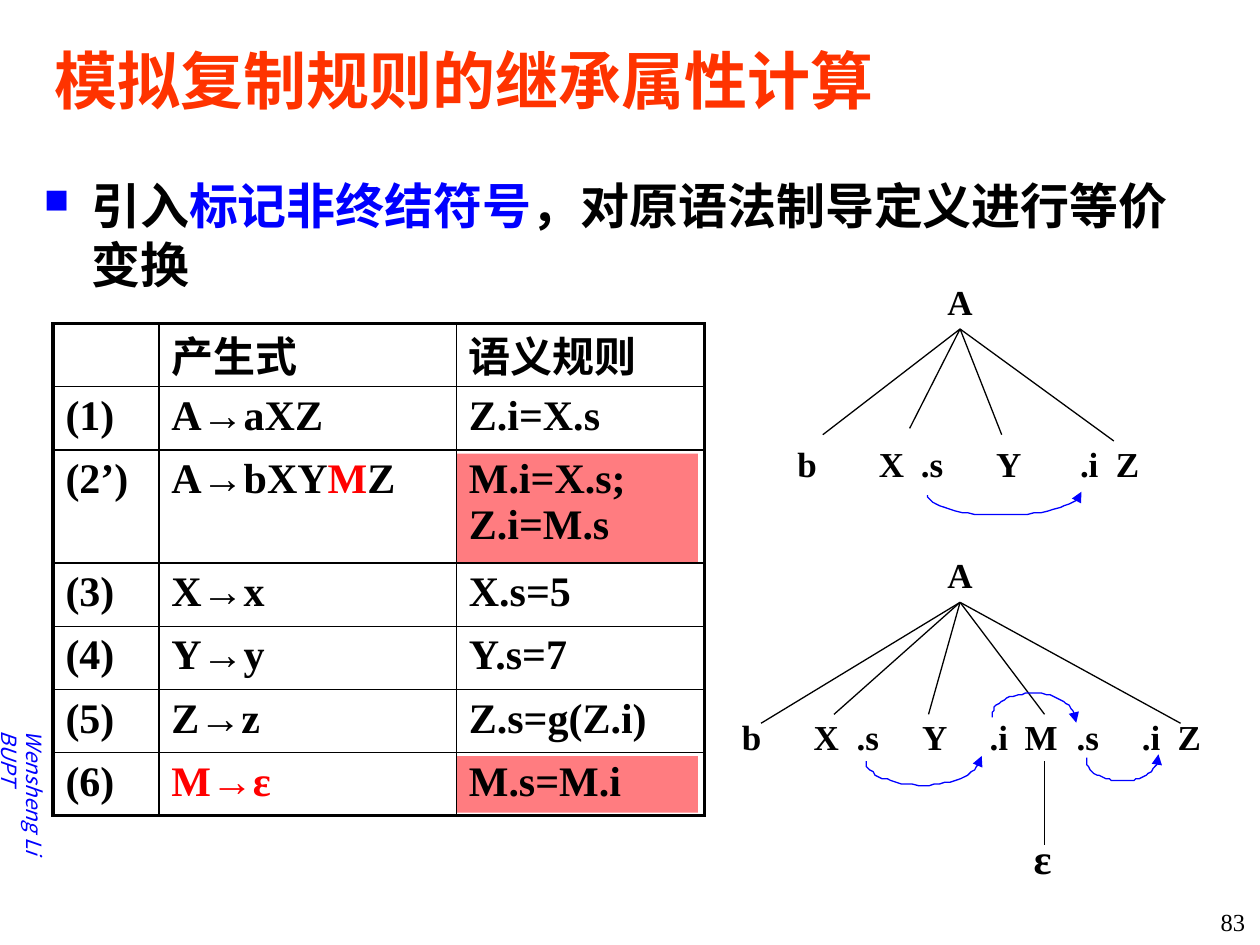
import dataclasses
import math

import lxml.etree
import pptx
import pptx.dml.color
import pptx.enum.shapes
import pptx.enum.text
import pptx.oxml.ns
import pptx.util

Pt = pptx.util.Pt
qn = pptx.oxml.ns.qn
ALIGN = pptx.enum.text.PP_ALIGN
ANCHOR = pptx.enum.text.MSO_ANCHOR


@dataclasses.dataclass(frozen=True)
class Theme:
    serif: str = "Times New Roman"
    sans: str = "Noto Sans CJK SC"
    black: str = "000000"
    blue: str = "0000FF"
    red: str = "FF0000"
    title: str = "FF3300"
    highlight: str = "FF7C80"
    title_size: float = 36
    body_size: float = 28
    table_size: float = 24
    node_size: float = 20
    number_size: float = 14
    footer_size: float = 12
    thin: float = 0.75
    grid: float = 1
    frame: float = 2.25


THEME = Theme()
ROOT_X = 548.64
TABLE_LEFT, TABLE_TOP = 30.24, 185
COLUMN_WIDTHS = (60.5, 170, 141.8)
ROW_HEIGHTS = (36, 36, 64.8, 36, 36, 36, 36)
RULES = (
    ("", "产生式", "语义规则"),
    ("(1)", "A→aXZ", "Z.i=X.s"),
    ("(2’)", (("A→bXY", THEME.black), ("M", THEME.red), ("Z", THEME.black)), "M.i=X.s;\nZ.i=M.s"),
    ("(3)", "X→x", "X.s=5"),
    ("(4)", "Y→y", "Y.s=7"),
    ("(5)", "Z→z", "Z.s=g(Z.i)"),
    ("(6)", (("M→ε", THEME.red),), "M.s=M.i"),
)


def rgb(value):
    return pptx.dml.color.RGBColor.from_string(value)


def add_child(parent, tag, **attributes):
    return lxml.etree.SubElement(parent, qn(tag), attributes)


def add_runs(paragraph, runs, size, font=THEME.serif, bold=True, italic=False):
    """Add (text, colour) runs; a newline in a text becomes a line break."""
    for text, color in runs:
        for index, line in enumerate(text.split("\n")):
            if index:
                paragraph.add_line_break()
            run = paragraph.add_run()
            run.text = line
            run.font.size = Pt(size)
            run.font.bold = bold
            run.font.italic = italic
            run.font.color.rgb = rgb(color)
            run.font.name = font
            add_child(run._r.get_or_add_rPr(), "a:ea", typeface=THEME.sans)


def add_text_box(slide, left, top, width, height, anchor=ANCHOR.MIDDLE, wrap=True):
    """Return the new box and its first paragraph."""
    box = slide.shapes.add_textbox(Pt(left), Pt(top), Pt(width), Pt(height))
    box.text_frame.word_wrap = wrap
    box.text_frame.vertical_anchor = anchor
    return box, box.text_frame.paragraphs[0]


def add_tab_stops(paragraph, positions):
    tab_list = add_child(paragraph._p.get_or_add_pPr(), "a:tabLst")
    for position in positions:
        add_child(tab_list, "a:tab", pos=str(int(Pt(position))), algn="l")


def add_footer(slide):
    box, paragraph = add_text_box(slide, -82.1, 432, 190, 21.6)
    box.rotation = 90
    box.text_frame.margin_left = Pt(69.7)
    add_tab_stops(paragraph, [83.4])
    add_runs(paragraph, [("Wensheng Li\tBUPT", THEME.blue)], THEME.footer_size,
             THEME.sans, bold=False, italic=True)
    _, paragraph = add_text_box(slide, 650.9, 514.8, 67.7, 21.6, ANCHOR.TOP)
    paragraph.alignment = ALIGN.RIGHT
    add_runs(paragraph, [("83", THEME.black)], THEME.number_size, bold=False)


def add_heading(slide):
    _, paragraph = add_text_box(slide, 23.8, 12.2, 678.2, 66.2)
    add_runs(paragraph, [("模拟复制规则的继承属性计算", THEME.title)], THEME.title_size, THEME.sans)


def add_bullet(slide):
    box, paragraph = add_text_box(slide, 18, 95.8, 668.2, 82, ANCHOR.TOP)
    box.text_frame.margin_top = Pt(4.5)
    properties = paragraph._p.get_or_add_pPr()
    properties.set("marL", str(int(Pt(27))))
    properties.set("indent", str(int(Pt(-27))))
    add_child(add_child(properties, "a:buClr"), "a:srgbClr", val=THEME.blue)
    add_child(properties, "a:buSzPct", val="70000")
    add_child(properties, "a:buChar", char="■")
    paragraph.line_spacing = Pt(33.7)
    add_runs(paragraph, [("引入", THEME.black), ("标记非终结符号", THEME.blue),
                         ("，对原语法制导定义进行等价变换", THEME.black)],
             THEME.body_size, THEME.sans)


def add_highlight(slide, top, height):
    shape = slide.shapes.add_shape(pptx.enum.shapes.MSO_SHAPE.RECTANGLE,
                                   Pt(260.6), Pt(top), Pt(138.2), Pt(height))
    shape.shadow.inherit = False
    shape.fill.solid()
    shape.fill.fore_color.rgb = rgb(THEME.highlight)
    shape.line.fill.background()


def set_borders(cell, outer_sides):
    properties = cell._tc.get_or_add_tcPr()
    for side in "LRTB":
        width = THEME.frame if side in outer_sides else THEME.grid
        line = add_child(properties, f"a:ln{side}", w=str(int(Pt(width))))
        add_child(add_child(line, "a:solidFill"), "a:srgbClr", val=THEME.black)


def add_rule_table(slide):
    rows, columns = len(ROW_HEIGHTS), len(COLUMN_WIDTHS)
    table = slide.shapes.add_table(rows, columns, Pt(TABLE_LEFT), Pt(TABLE_TOP),
                                   Pt(sum(COLUMN_WIDTHS)), Pt(sum(ROW_HEIGHTS))).table
    table.first_row = table.horz_banding = False
    for column, width in zip(table.columns, COLUMN_WIDTHS):
        column.width = Pt(width)
    for row_index, (height, texts) in enumerate(zip(ROW_HEIGHTS, RULES)):
        table.rows[row_index].height = Pt(height)
        for column_index, content in enumerate(texts):
            cell = table.cell(row_index, column_index)
            is_outer = {"L": column_index == 0, "R": column_index == columns - 1,
                        "T": row_index == 0, "B": row_index == rows - 1}
            set_borders(cell, [side for side, outer in is_outer.items() if outer])
            cell.fill.background()
            cell.margin_left = cell.margin_right = Pt(7.2)
            cell.margin_top = cell.margin_bottom = Pt(3.6)
            paragraph = cell.text_frame.paragraphs[0]
            if row_index == 0:
                cell.margin_top, cell.margin_bottom = Pt(7), Pt(0)
                paragraph.line_spacing = Pt(28)
            if content:
                runs = [(content, THEME.black)] if isinstance(content, str) else content
                add_runs(paragraph, runs, THEME.table_size)


def add_edge(slide, start, end):
    edge = slide.shapes.add_connector(pptx.enum.shapes.MSO_CONNECTOR.STRAIGHT,
                                      *(Pt(value) for value in (*start, *end)))
    edge.line.color.rgb = rgb(THEME.black)
    edge.line.width = Pt(THEME.thin)
    add_child(edge._element.spPr, "a:effectLst")


def add_symbol(slide, text, left, top, width, height, size):
    _, paragraph = add_text_box(slide, left, top, width, height, wrap=False)
    paragraph.alignment = ALIGN.CENTER
    add_runs(paragraph, [(text, THEME.black)], size)


def add_tree(slide, apex_y, ends, leaves, left, top, width, tabs):
    """Draw root A, its edges and one row of leaves set on tab stops."""
    add_symbol(slide, "A", ROOT_X - 14.4, apex_y - 31.2, 28.8, 31, THEME.node_size)
    for end in ends:
        add_edge(slide, (ROOT_X, apex_y), end)
    _, paragraph = add_text_box(slide, left, top, width, 31)
    add_tab_stops(paragraph, tabs)
    add_runs(paragraph, [("\t".join(leaves), THEME.black)], THEME.node_size)


def add_dependency(slide, start, end, peak_y, steps=16):
    """Draw an arrow along two quarter ellipses that meet at peak_y."""
    middle = (start[0] + end[0]) / 2
    points = []
    for step in range(2 * steps + 1):
        angle = math.pi * step / (2 * steps)
        base = start[1] if step <= steps else end[1]
        points.append((middle - (end[0] - start[0]) / 2 * math.cos(angle),
                       base + (peak_y - base) * math.sin(angle)))
    builder = slide.shapes.build_freeform(*points[0], scale=Pt(1))
    builder.add_line_segments(points[1:], close=False)
    arrow = builder.convert_to_shape()
    arrow.shadow.inherit = False
    arrow.fill.background()
    arrow.line.color.rgb = rgb(THEME.blue)
    arrow.line.width = Pt(THEME.thin)
    add_child(arrow.line._get_or_add_ln(), "a:tailEnd", type="triangle")


def main():
    presentation = pptx.Presentation()
    presentation.slide_width, presentation.slide_height = Pt(720), Pt(540)
    slide = presentation.slides.add_slide(presentation.slide_layouts[6])
    add_footer(slide)
    add_highlight(slide, 259.2, 61.9)
    add_highlight(slide, 432, 32.4)
    add_heading(slide)
    add_bullet(slide)
    add_tree(slide, 344.2, [(434.9, 413.3), (476.6, 408.2), (530.6, 408.2), (596.9, 408.2), (674.6, 413.3)],
             ("b", "X", ".s", "Y", ".i", "M", ".s", ".i", "Z"), 416.9, 405.4, 278.6,
             (41, 65.5, 103, 141.5, 161.5, 191.3, 228.5, 249))
    add_edge(slide, (596.9, 434.9), (596.9, 483.1))
    add_symbol(slide, "ε", 583.2, 472.3, 25.2, 36, THEME.table_size)
    add_dependency(slide, (494.6, 434.9), (560.9, 432), 448.6)
    add_dependency(slide, (620.6, 433.4), (662.4, 430.6), 446.4)
    add_dependency(slide, (566.6, 409.7), (614.9, 412.6), 396)
    add_rule_table(slide)
    add_tree(slide, 188, [(470.2, 248.4), (519.8, 244.8), (572.4, 248.4), (636.5, 252)],
             ("b", "X", ".s", "Y", ".i", "Z"), 448.6, 249.1, 223.2,
             (46.5, 70.5, 113.5, 161.5, 182))
    add_dependency(slide, (529.9, 283), (618.5, 280.8), 294.5)
    presentation.save("out.pptx")


if __name__ == "__main__":
    main()
